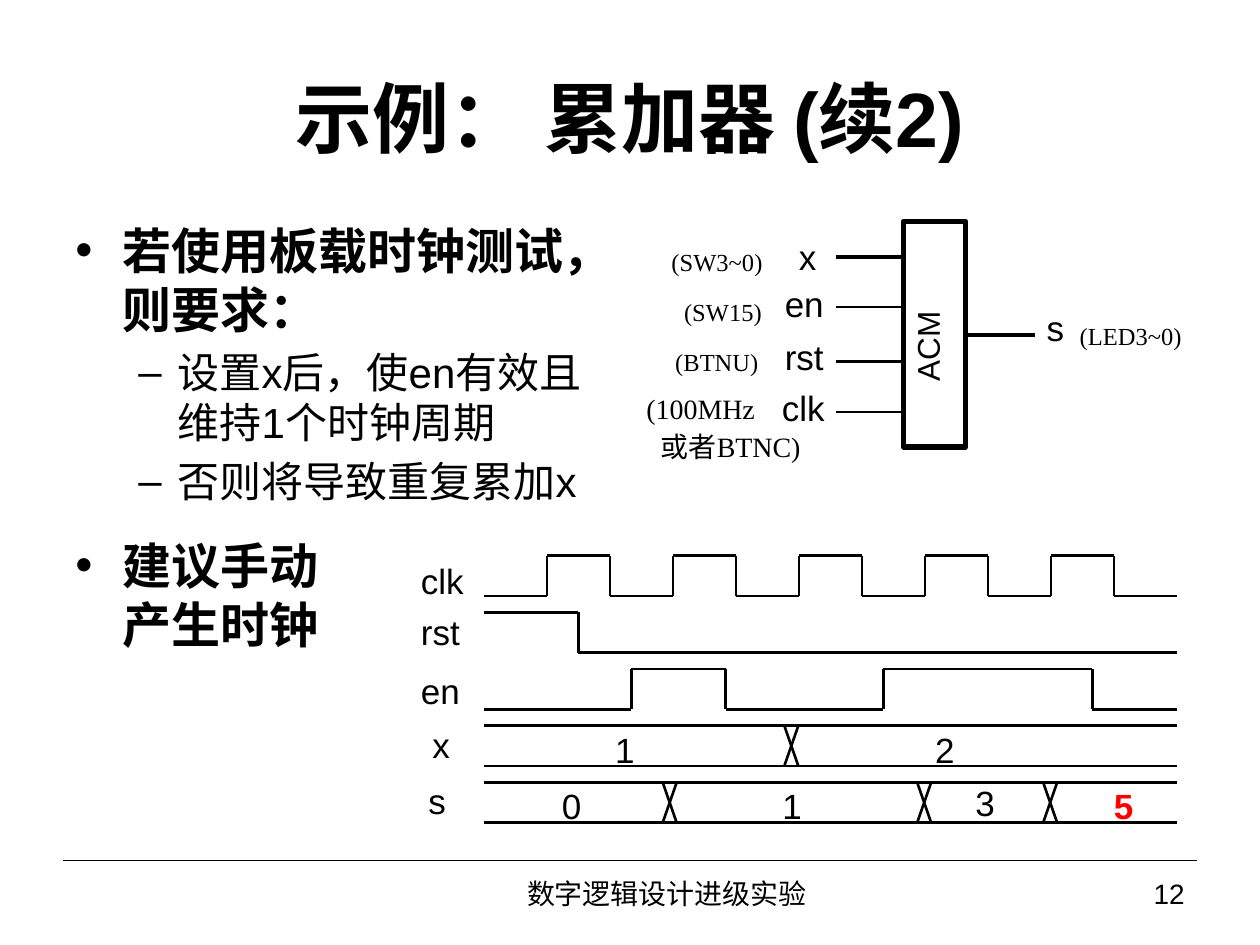
from lxml import etree
from pptx import Presentation
from pptx.dml.color import RGBColor
from pptx.enum.shapes import MSO_CONNECTOR, MSO_SHAPE
from pptx.enum.text import MSO_ANCHOR, PP_ALIGN
from pptx.oxml.ns import qn
from pptx.util import Pt

STRAIGHT = MSO_CONNECTOR.STRAIGHT
RECTANGLE = MSO_SHAPE.RECTANGLE
TOP, MIDDLE = MSO_ANCHOR.TOP, MSO_ANCHOR.MIDDLE
LEFT, CENTER, RIGHT = PP_ALIGN.LEFT, PP_ALIGN.CENTER, PP_ALIGN.RIGHT
BLACK, RED = "000000", "FF0000"
SANS, CHINESE, SERIF = "Arial", "Noto Sans CJK SC", "Times New Roman"


def color(value):
    return RGBColor.from_string(value)


def add_line(slide, start, end, width=1.5):
    line = slide.shapes.add_connector(STRAIGHT, *map(Pt, (*start, *end)))
    line.line.color.rgb = color(BLACK)
    line.line.width = Pt(width)
    etree.SubElement(line._element.spPr, qn("a:effectLst"))


def add_path(slide, points):
    for start, end in zip(points, points[1:]):
        add_line(slide, start, end)


def format_paragraph(paragraph, text, size=20, font=SANS, fill=BLACK, bold=False,
                     align=LEFT, bullet=None, indent=0, hanging=0):
    paragraph.alignment = align
    run = paragraph.add_run()
    run.text = text
    run.font.size = Pt(size)
    run.font.name = font
    run.font.bold = bold
    run.font.color.rgb = color(fill)
    etree.SubElement(run._r.get_or_add_rPr(), qn("a:ea"), typeface=CHINESE)
    if bullet:
        paragraph.space_before = Pt(size * 0.2)
        properties = paragraph._p.get_or_add_pPr()
        properties.set("marL", str(Pt(indent)))
        properties.set("indent", str(-Pt(hanging)))
        etree.SubElement(properties, qn("a:buFont"), typeface=SANS)
        etree.SubElement(properties, qn("a:buChar"), char=bullet)


def add_text(slide, box, *items, anchor=TOP, wrap=True, inset=True, vertical=None, **style):
    """Each item is a string or a (string, style) pair."""
    shape = slide.shapes.add_textbox(*map(Pt, box))
    frame = shape.text_frame
    frame.word_wrap = wrap
    frame.vertical_anchor = anchor
    if not inset:
        frame.margin_left = frame.margin_right = frame.margin_top = frame.margin_bottom = 0
    if vertical:
        frame._txBody.bodyPr.set("vert", vertical)
    for index, item in enumerate(items):
        text, own = (item, {}) if isinstance(item, str) else item
        paragraph = frame.add_paragraph() if index else frame.paragraphs[0]
        format_paragraph(paragraph, text, **{**style, **own})


def add_label(slide, box, text, **style):
    add_text(slide, box, text, anchor=MIDDLE, wrap=False, inset=False, **style)


def add_body(slide, left, top):
    main = dict(size=28, bold=True, bullet="•", indent=27, hanging=27)
    sub = dict(size=24, bullet="–", indent=58.5, hanging=22.5)
    add_text(slide, (left, top, 324, 180),
             ("若使用板载时钟测试，则要求：", main),
             ("设置x后，使en有效且维持1个时钟周期", sub),
             ("否则将导致重复累加x", sub))
    add_text(slide, (left, top + 180, 174, 145), ("建议手动产生时钟", main))


def add_footer(slide, left, top, width):
    add_line(slide, (left, top), (left + width, top), 0.75)
    add_text(slide, (left + 168, top, 354, 37.5), "数字逻辑设计进级实验",
             size=16, align=CENTER, anchor=MIDDLE)
    add_text(slide, (left + 522, top, 126, 37.5), "12", size=16, align=RIGHT, anchor=MIDDLE)


def add_block_diagram(slide, left, top):
    # Module and its pins
    module = slide.shapes.add_shape(RECTANGLE, Pt(left), Pt(top), Pt(35.5), Pt(129))
    module.shadow.inherit = False
    module.fill.background()
    module.line.color.rgb = color(BLACK)
    module.line.width = Pt(3)
    add_text(slide, (left - 0.8, top + 33.6, 36, 65), "ACM", size=18, wrap=False,
             vertical="vert270")
    pins = [("x", -69.5, 20, 20.2, 2.25), ("en", -71.5, 47, 49, 1.5),
            ("rst", -71.5, 77, 80, 1.5), ("clk", -72, 106.3, 109, 1.5)]
    for name, label_x, label_y, pin_y, weight in pins:
        add_label(slide, (left + label_x, top + label_y - 16.5, 29.5, 33), name, align=CENTER)
        add_line(slide, (left - 38.3, top + pin_y), (left + 1, top + pin_y), weight)
    add_line(slide, (left + 35.5, top + 65), (left + 75, top + 65), 2.25)
    add_label(slide, (left + 72, top + 44, 29.5, 33), "s", align=CENTER)

    # Board resources beside the pins
    notes = [("(LED3~0)", 93.6, 53.3, 73.5, 14, LEFT), ("(SW3~0)", -139.7, 11.2, 70.5, 14, LEFT),
             ("(SW15)", -132.5, 39.4, 59, 14, LEFT), ("(BTNU)", -137.5, 68.4, 66, 14, LEFT),
             ("(100MHz", -154, 93.6, 91.5, 16, LEFT), ("或者BTNC)", -156.3, 115.2, 104.5, 16, RIGHT)]
    for text, x, y, width, size, align in notes:
        add_text(slide, (left + x, top + y, width, 25), text, size=size, font=SERIF, align=align)


def add_level_wave(slide, left, top, edges, width, high, height=23):
    """Draw a level signal that toggles at each edge."""
    points = []
    for start, end in zip([0, *edges], [*edges, width]):
        y = top if high else top + height
        points += [(left + start, y), (left + end, y)]
        high = not high
    add_path(slide, points)


def add_bus_wave(slide, left, top, changes, width, height=23):
    """Draw a bus with a cross at each change of value."""
    for y in (top, top + height):
        add_line(slide, (left, y), (left + width, y))
    for change in changes:
        for side in (-4, 4):
            add_line(slide, (left + change + side, top),
                     (left + change - side, top + height))


def add_timing_diagram(slide, left, top):
    width, half_cycle, pitch = 396, 36, 32.4
    label_width, label_height = 32, 18.7
    clock_edges = [half_cycle * step for step in range(1, 11)]
    levels = [("clk", clock_edges, False, 5), ("rst", [54], True, 1.5),
              ("en", [84.2, 138.2, 228.2, 347.8], False, 2.9)]
    buses = [("x", [175.7], [("1", 75, 4.5), ("2", 257.8, 4.5)], -29.5, 1.5),
             ("s", [106.2, 251.6, 323.6],
              [("0", 44.6, 3.6), ("1", 170.6, 3.6), ("3", 280.8, 2.2), ("5", 360, 3.6)], -31.7, 0.8)]
    for row, (name, edges, high, label_y) in enumerate(levels):
        y = top + row * pitch
        add_label(slide, (left - 36, y + label_y, label_width, label_height), name)
        add_level_wave(slide, left, y, edges, width, high)
    for row, (name, changes, values, label_x, label_y) in enumerate(buses, len(levels)):
        y = top + row * pitch
        add_label(slide, (left + label_x, y + label_y, 18, label_height), name)
        add_bus_wave(slide, left, y, changes, width)
        for text, x, value_y in values:
            final = text == "5"
            add_label(slide, (left + x, y + value_y, 18, label_height), text,
                      fill=RED if final else BLACK, bold=final)


presentation = Presentation()
presentation.slide_width, presentation.slide_height = Pt(720), Pt(540)
slide = presentation.slides.add_slide(presentation.slide_layouts[6])
add_text(slide, (36, 21.6, 648, 90), "示例： 累加器 (续2)",
         size=44, bold=True, align=CENTER, anchor=MIDDLE)
add_body(slide, 36, 122.4)
add_footer(slide, 36, 491.8, 648)
add_block_diagram(slide, 516.3, 126.5)
add_timing_diagram(slide, 276.5, 317.5)
presentation.save("out.pptx")
